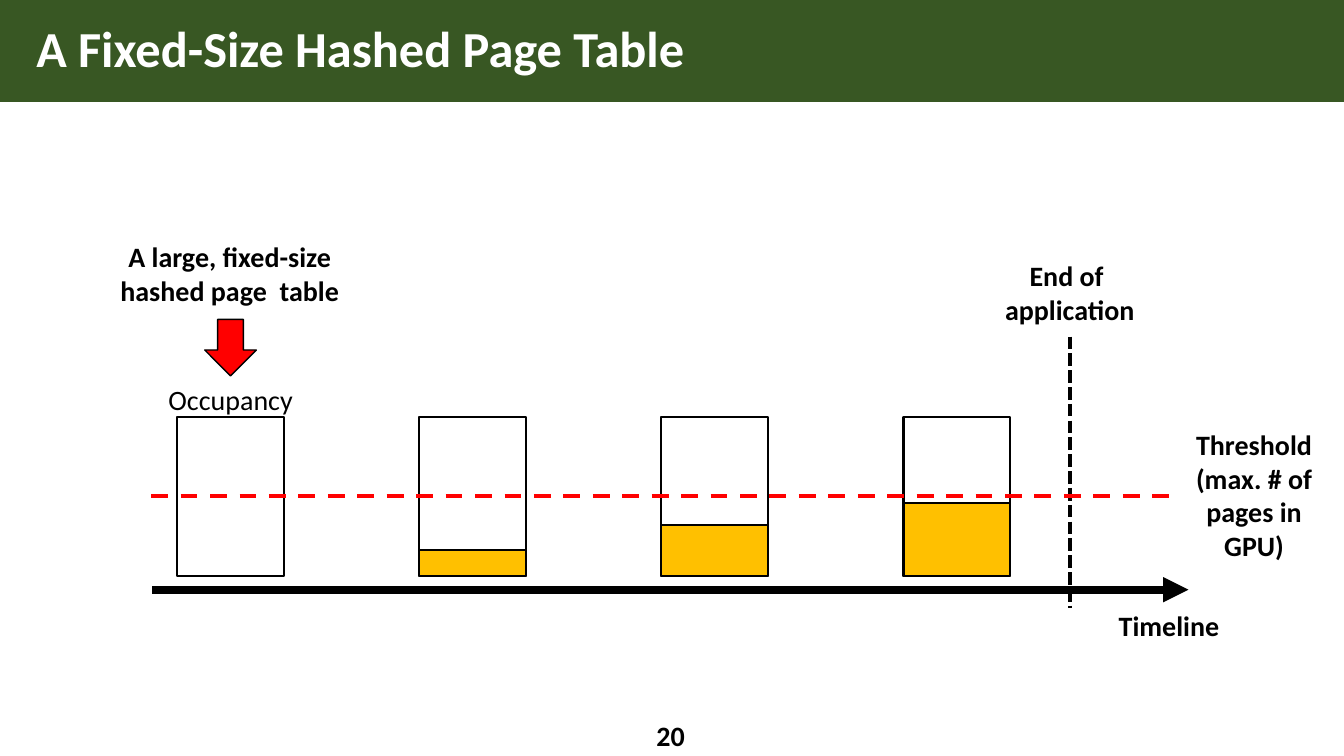
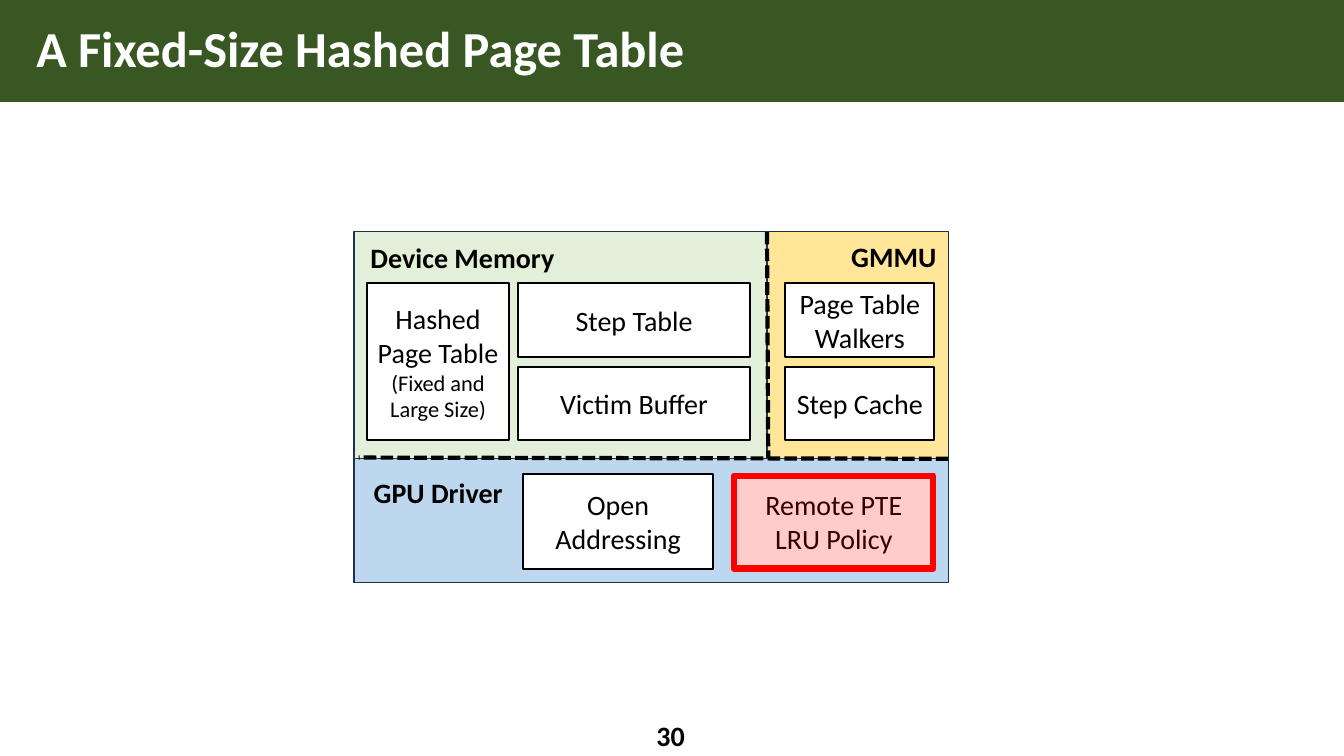
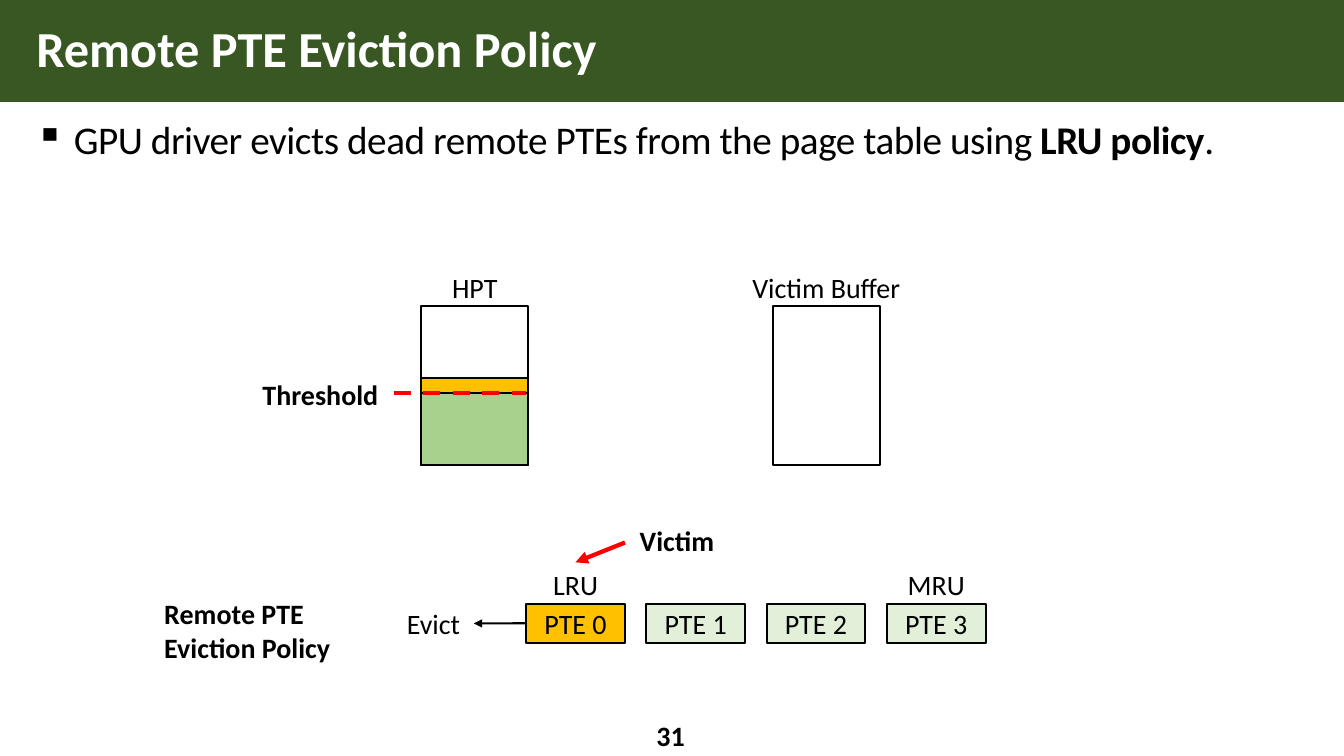
from lxml import etree
from pptx import Presentation
from pptx.dml.color import RGBColor
from pptx.enum.dml import MSO_LINE
from pptx.enum.shapes import MSO_CONNECTOR, MSO_SHAPE
from pptx.enum.text import MSO_ANCHOR, MSO_AUTO_SIZE, PP_ALIGN
from pptx.oxml.ns import qn
from pptx.util import Cm, Pt

RECT, DOWN = MSO_SHAPE.RECTANGLE, MSO_SHAPE.DOWN_ARROW
STRAIGHT = MSO_CONNECTOR.STRAIGHT
DASH, DOTS = MSO_LINE.DASH, MSO_LINE.SQUARE_DOT
LEFT, CENTER = PP_ALIGN.LEFT, PP_ALIGN.CENTER
TOP, MIDDLE = MSO_ANCHOR.TOP, MSO_ANCHOR.MIDDLE
NO_FIT = MSO_AUTO_SIZE.NONE

BLACK = RGBColor(0x00, 0x00, 0x00)
WHITE = RGBColor(0xFF, 0xFF, 0xFF)
FOREST = RGBColor(0x38, 0x57, 0x23)
RED = RGBColor(0xFF, 0x00, 0x00)
AMBER = RGBColor(0xFF, 0xC0, 0x00)
GREEN = RGBColor(0xA9, 0xD1, 0x8E)
MINT = RGBColor(0xE2, 0xF0, 0xD9)
CREAM = RGBColor(0xFF, 0xE6, 0x99)
SKY = RGBColor(0xBD, 0xD7, 0xEE)
NAVY = RGBColor(0x1E, 0x32, 0x56)

FONT = "Calibri"
WIDE, HIGH, BAND = 33.87, 19.05, 2.57
BIN_W, BIN_H = 2.69, 3.99


class Deck:
    def __init__(self):
        self.prs = Presentation()
        self.prs.slide_width, self.prs.slide_height = Cm(WIDE), Cm(HIGH)
        self.layout = self.prs.slide_layouts[5]
        self.slide = None

    def page(self, title, number):
        """Start a slide with its title and number."""
        first = self.slide is None
        self.slide = self.prs.slides.add_slide(self.layout)
        if first:  # the band belongs to the layout, behind everything
            band = self.box(0, 0, WIDE, BAND, FOREST, line=None)
            self.layout.shapes.element.insert(2, band.element)
        head = self.slide.shapes.title
        head.left, head.top = Cm(0.66), Cm(0)
        head.width, head.height = Cm(32.46), Cm(BAND)
        self.put(head.text_frame, title, size=36, bold=True, color=WHITE,
                 align=LEFT)
        head.text_frame.paragraphs[0].line_spacing = 0.9
        self.text(15.06, 18.03, 3.68, 1.02, str(number), bold=True)

    def put(self, frame, text, size=20, bold=False, color=BLACK,
            align=CENTER, anchor=MIDDLE):
        """Fill a frame; text is lines, or paragraphs of (text, size, bold)."""
        if isinstance(text, str):
            text = [[(line, size, bold)] for line in text.split("\n")]
        frame.word_wrap, frame.auto_size = True, NO_FIT
        frame.vertical_anchor = anchor
        for i, runs in enumerate(text):
            para = frame.add_paragraph() if i else frame.paragraphs[0]
            para.alignment = align
            for words, points, heavy in runs:
                run = para.add_run()
                run.text = words
                font = run.font
                font.name, font.size, font.bold = FONT, Pt(points), heavy
                font.color.rgb = color

    def text(self, x, y, w, h, text, **style):
        label = self.slide.shapes.add_textbox(Cm(x), Cm(y), Cm(w), Cm(h))
        self.put(label.text_frame, text, **style)
        return label

    def box(self, x, y, w, h, fill=WHITE, text=None, line=BLACK, weight=1.5,
            kind=RECT, alpha=None):
        shape = self.slide.shapes.add_shape(kind, Cm(x), Cm(y), Cm(w), Cm(h))
        shape.shadow.inherit = False
        shape.fill.solid()
        shape.fill.fore_color.rgb = fill
        if alpha:
            tint = shape.element.find(".//" + qn("a:srgbClr"))
            etree.SubElement(tint, qn("a:alpha"), val=str(alpha * 1000))
        if line is None:
            shape.line.fill.background()
        else:
            shape.line.color.rgb, shape.line.width = line, Pt(weight)
        if text:
            self.put(shape.text_frame, text)
        return shape

    def line(self, x1, y1, x2, y2, color=BLACK, weight=3, dash=None,
             arrow=False, start=None):
        """Draw a line; start is a (shape, side) pair to join."""
        link = self.slide.shapes.add_connector(
            STRAIGHT, Cm(x1), Cm(y1), Cm(x2), Cm(y2))
        link.line.color.rgb, link.line.width = color, Pt(weight)
        if dash:
            link.line.dash_style = dash
        if arrow:
            stroke = link.element.find(".//" + qn("a:ln"))
            etree.SubElement(stroke, qn("a:tailEnd"), type="triangle")
        etree.SubElement(link.element.spPr, qn("a:effectLst"))
        if start:
            link.begin_connect(*start)

    def bin(self, x, y, levels=(), label=None, span=3.71):
        """Draw a container filled from its bottom to (height, colour) levels."""
        self.box(x, y, BIN_W, BIN_H)
        for high, color in levels:
            self.box(x, y + BIN_H - high, BIN_W, high, color)
        if label:
            self.text(x + (BIN_W - span) / 2, y - 0.9, span, 0.86, label)

    def bullet(self, x, y, w, h, runs):
        body = self.text(x, y, w, h, [runs], align=LEFT, anchor=TOP)
        frame = body.text_frame
        frame.margin_left = frame.margin_top = Cm(0.2)
        frame.margin_right, frame.margin_bottom = Cm(0.1), Cm(0)
        para = frame.paragraphs[0]
        para.line_spacing, para.space_before = 0.9, Pt(12)
        props = body.element.find(".//" + qn("a:pPr"))
        indent = int(Cm(0.97))
        props.set("marL", str(indent))
        props.set("indent", str(-indent))
        etree.SubElement(props, qn("a:buChar"), char="▪")
        for style in body.element.iter(qn("a:rPr")):
            style.set("spc", "-30")


def timeline(deck):
    deck.page("A Fixed-Size Hashed Page Table", 20)
    # Occupancy over time
    for i, high in enumerate((0, 0.66, 1.27, 1.83)):
        deck.bin(4.47 + 6.1 * i, 10.52, [(high, AMBER)] if high else (),
                 None if i else "Occupancy")
    # Axis, end mark and threshold
    deck.line(3.84, 14.86, 29.95, 14.86, weight=6, arrow=True)
    deck.line(26.97, 8.48, 26.97, 15.32, dash=DOTS)
    deck.line(3.81, 12.5, 29.69, 12.5, RED, dash=DASH)
    # Labels
    for x, y, w, h, words, anchor in (
            (27.58, 15.21, 3.76, 1.12, "Timeline", TOP),
            (24.99, 6.4, 3.94, 1.96, "End of \napplication", TOP),
            (29.41, 11.07, 4.39, 2.79,
             "Threshold\n(max. # of pages in GPU)", MIDDLE),
            (2.74, 5.92, 6.1, 1.96,
             "A large, fixed-size hashed page  table", TOP)):
        deck.text(x, y, w, h, words, bold=True, anchor=anchor)
    deck.box(5.16, 8.05, 1.3, 1.42, RED, weight=1, kind=DOWN)


def parts(deck):
    deck.page("A Fixed-Size Hashed Page Table", 30)
    # Panels
    for x, y, w, h, fill in ((8.92, 11.56, 14.99, 3.12, SKY),
                             (19.33, 5.84, 4.57, 5.72, CREAM),
                             (8.92, 5.84, 10.41, 5.72, MINT)):
        deck.box(x, y, w, h, fill, line=NAVY, weight=1)
    # Components
    upper, lower, base = 7.14, 9.25, 11.94
    for x, y, w, h, words in (
            (13.06, upper, 5.84, 1.85, "Step Table"),
            (13.06, lower, 5.84, 1.85, "Victim Buffer"),
            (9.25, upper, 3.58, 3.96,
             [[("Hashed Page Table", 20, False)],
              [("(Fixed and Large Size)", 16, False)]]),
            (19.79, upper, 3.76, 1.85, "Page Table Walkers"),
            (19.79, lower, 3.76, 1.85, "Step Cache"),
            (13.18, base, 4.8, 2.39, "Open Addressing"),
            (18.49, base, 5.05, 2.39, "Remote PTE LRU Policy")):
        deck.box(x, y, w, h, text=words)
    # Dividers
    deck.line(23.9, 11.56, 9.04, 11.53, dash=DOTS)
    deck.line(19.33, 5.84, 19.36, 11.53, dash=DOTS)
    # Panel names
    for x, y, w, words in ((9.04, 5.97, 5.23, "Device Memory"),
                           (21.18, 5.94, 2.69, "GMMU"),
                           (9.14, 11.89, 3.81, "GPU Driver")):
        deck.text(x, y, w, 1.04, words, bold=True)
    # Highlight
    deck.box(18.49, 11.99, 5.03, 2.34, RED, line=RED, weight=4.5, alpha=20)


def policy(deck):
    deck.page("Remote PTE Eviction Policy", 31)
    deck.bullet(0.69, 2.84, 32.46, 14.66, [
        ("GPU driver evicts dead remote PTEs from the page table using ",
         28, False),
        ("LRU policy", 28, True), (".", 28, False)])
    # Table and buffer
    deck.bin(10.62, 7.72, [(2.18, AMBER), (1.8, GREEN)], "HPT")
    deck.bin(19.48, 7.72, label="Victim Buffer", span=4.42)
    deck.text(6.32, 9.55, 3.51, 0.79, "Threshold", bold=True)
    deck.line(9.93, 9.91, 13.26, 9.91, RED, dash=DASH)
    # Queue of entries
    ends = {0: "LRU", 3: "MRU"}
    queue = []
    for i in range(4):
        x = 13.26 + 3.03 * i
        queue.append(deck.box(x, 15.21, 2.49, 0.99, MINT if i else AMBER,
                              f"PTE {i}"))
        if i in ends:
            deck.text(x, 14.17, 2.49, 1.12, ends[i], anchor=TOP)
    # Eviction
    deck.line(13.26, 15.71, 11.94, 15.71, weight=1.5, arrow=True,
              start=(queue[0], 1))
    deck.text(9.91, 15.16, 2.03, 1.12, "Evict", anchor=TOP)
    deck.text(3.89, 14.91, 5.66, 1.96, "Remote PTE Eviction Policy",
              bold=True, align=LEFT, anchor=TOP)
    deck.line(15.75, 13.67, 14.5, 14.17, RED, arrow=True)
    deck.text(15.75, 13.23, 2.62, 0.79, "Victim", bold=True)


def main():
    deck = Deck()
    for draw in (timeline, parts, policy):
        draw(deck)
    deck.prs.save("out.pptx")


if __name__ == "__main__":
    main()
